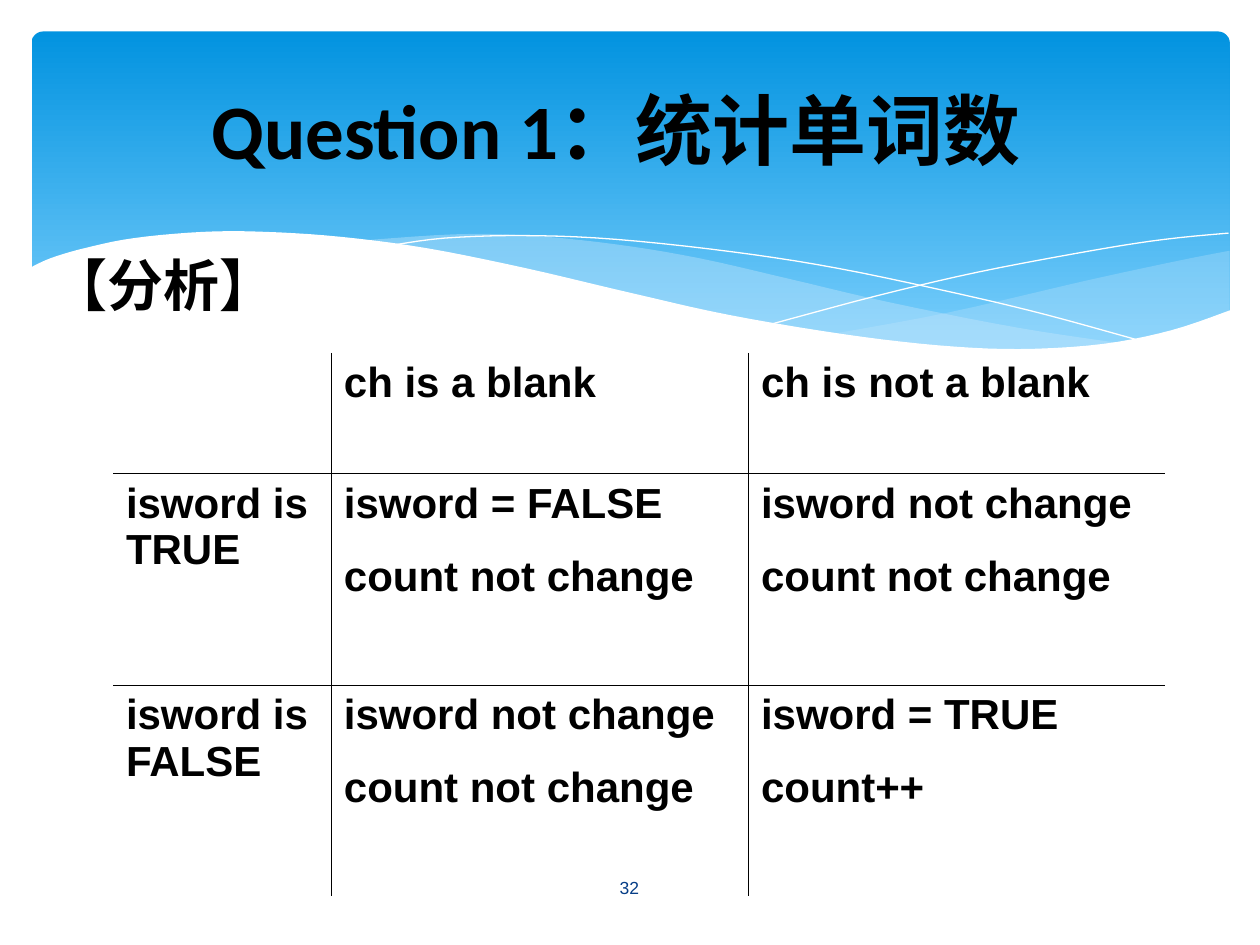
import pptx
import pptx.dml.color
import pptx.enum.shapes
import pptx.enum.text
import pptx.oxml.ns
import pptx.util
from lxml import etree

Inches = pptx.util.Inches
Pt = pptx.util.Pt
ALIGN = pptx.enum.text.PP_ALIGN
ANCHOR = pptx.enum.text.MSO_ANCHOR

BLACK, WHITE, PALE_BLUE = "000000", "FFFFFF", "C6E7FC"

# Knots of the smooth curves in the banner, in inches
RIGHT_WAVE_TOP = [(9.76, 1.99), (9.35, 2.07), (8.61, 2.23), (7.53, 2.48), (6.61, 2.65)]
RIGHT_WAVE_BOTTOM = [(6.61, 2.65), (7.18, 2.72), (7.69, 2.77), (8.14, 2.78),
                     (8.63, 2.75), (9.05, 2.69), (9.42, 2.59), (9.76, 2.47)]
MIDDLE_WAVE_TOP = [(8.93, 2.73), (8.07, 2.6), (7.06, 2.4), (6.29, 2.22), (5.55, 2.05),
                   (4.89, 1.94), (4.2, 1.87), (3.61, 1.86), (2.86, 1.91)]
MIDDLE_WAVE_BOTTOM = [(2.86, 1.91), (3.62, 2.03), (4.49, 2.22), (5.3, 2.4), (6.18, 2.58),
                      (6.95, 2.7), (7.61, 2.77), (8.18, 2.78), (8.57, 2.77), (8.93, 2.73)]
FALLING_LINE = [(3.09, 1.95), (3.53, 1.89), (4.16, 1.87), (4.89, 1.9), (5.82, 2),
                (6.65, 2.13), (7.6, 2.33), (8.31, 2.5), (9.07, 2.71)]
RISING_LINE = [(6.13, 2.57), (6.95, 2.35), (7.76, 2.16), (8.66, 1.99),
               (9.24, 1.9), (9.75, 1.85)]
WHITE_EDGE = [(9.77, 2.46), (9.3, 2.62), (8.75, 2.73), (8.09, 2.77), (7.44, 2.74),
              (6.68, 2.65), (5.79, 2.5), (5.03, 2.33), (4.18, 2.13), (3.39, 1.97),
              (2.71, 1.88), (2.11, 1.84), (1.61, 1.84), (1.06, 1.89), (0.67, 1.97),
              (0.4, 2.05), (0.23, 2.13)]

COLUMN_WIDTHS = [1.73, 3.31, 3.31]
ROW_HEIGHTS = [0.96, 1.68, 1.67]
STATES = [
    ["", "ch is a blank", "ch is not a blank"],
    ["isword is TRUE", "isword = FALSE\ncount not change",
     "isword not change\ncount not change"],
    ["isword is FALSE", "isword not change\ncount not change",
     "isword = TRUE\ncount++"],
]


def color(value):
    return pptx.dml.color.RGBColor.from_string(value)


def add_xml(parent, tag, **attributes):
    return etree.SubElement(parent, pptx.oxml.ns.qn(tag), attributes)


def smooth(knots, steps=5):
    """Points on a Catmull-Rom curve through the knots."""
    padded = [knots[0], *knots, knots[-1]]
    points = [knots[0]]
    for a, b, c, d in zip(padded, padded[1:], padded[2:], padded[3:]):
        for step in range(1, steps + 1):
            t = step / steps
            points.append(tuple(
                (2 * q + (r - p) * t + (2 * p - 5 * q + 4 * r - s) * t ** 2
                 + (3 * q - p - 3 * r + s) * t ** 3) / 2
                for p, q, r, s in zip(a, b, c, d)))
    return points


def add_outline(shapes, points, closed):
    # The builder keeps whole units only, so lengths go in as EMU
    start, *others = [(Inches(x), Inches(y)) for x, y in points]
    builder = shapes.build_freeform(*start)
    builder.add_line_segments(others, close=closed)
    shape = builder.convert_to_shape()
    shape.shadow.inherit = False
    return shape


def add_wave(shapes, points, fill, opacity=100):
    wave = add_outline(shapes, points, True)
    wave.line.fill.background()
    wave.fill.solid()
    wave.fill.fore_color.rgb = color(fill)
    if opacity < 100:
        tint = wave.fill._xPr.find(".//" + pptx.oxml.ns.qn("a:srgbClr"))
        add_xml(tint, "a:alpha", val=str(opacity * 1000))


def add_hairline(shapes, knots):
    hairline = add_outline(shapes, smooth(knots), False)
    hairline.fill.background()
    hairline.line.color.rgb = color(WHITE)
    hairline.line.width = Pt(0)


def add_banner(page):
    panel = page.shapes.add_shape(
        pptx.enum.shapes.MSO_SHAPE.ROUNDED_RECTANGLE,
        Inches(0.25), Inches(0.25), Inches(9.51), Inches(2.7))
    panel.adjustments[0] = 0.034
    panel.shadow.inherit = False
    panel.line.fill.background()
    panel.fill.gradient()
    panel.fill.gradient_angle = 270
    for stop, value, position in zip(panel.fill.gradient_stops,
                                     ["0293E0", "83D3FE"], [0, 1]):
        stop.color.rgb = color(value)
        stop.position = position

    shapes = page.shapes.add_group_shape().shapes
    add_wave(shapes, smooth(RIGHT_WAVE_TOP) + smooth(RIGHT_WAVE_BOTTOM), PALE_BLUE, 29)
    add_wave(shapes, smooth(MIDDLE_WAVE_TOP) + smooth(MIDDLE_WAVE_BOTTOM), PALE_BLUE, 40)
    add_hairline(shapes, FALLING_LINE)
    add_hairline(shapes, RISING_LINE)
    add_wave(shapes, smooth(WHITE_EDGE) + [(0.23, 3.29), (9.77, 3.29)], WHITE)


def format_para(para, size, font, fill, bold, align=ALIGN.LEFT, before=0, after=0):
    para.alignment = align
    para.space_before, para.space_after = Pt(before), Pt(after)
    for span in para.runs:
        span.font.size, span.font.name, span.font.bold = Pt(size), font, bold
        span.font.color.rgb = color(fill)


def add_text(page, text, left, top, width, height, anchor=ANCHOR.MIDDLE,
             hanging=0, **style):
    box = page.shapes.add_textbox(*map(Inches, (left, top, width, height)))
    frame = box.text_frame
    frame.word_wrap = True
    frame.vertical_anchor = anchor
    frame.text = text
    para = frame.paragraphs[0]
    format_para(para, **style)
    if hanging:
        properties = para._p.get_or_add_pPr()
        properties.set("marL", str(Inches(hanging)))
        properties.set("indent", str(-Inches(hanging)))


def set_borders(cell, visible):
    properties = cell._tc.get_or_add_tcPr()
    for side in "LRTB":
        border = add_xml(properties, "a:ln" + side, w=str(Pt(0.45)))
        if side in visible:
            add_xml(add_xml(border, "a:solidFill"), "a:srgbClr", val=BLACK)
        else:
            add_xml(border, "a:noFill")


def add_state_table(page):
    rows, columns = len(ROW_HEIGHTS), len(COLUMN_WIDTHS)
    table = page.shapes.add_table(
        rows, columns, Inches(0.9), Inches(2.8),
        Inches(sum(COLUMN_WIDTHS)), Inches(sum(ROW_HEIGHTS))).table
    table.first_row = table.horz_banding = False
    for column, width in zip(table.columns, COLUMN_WIDTHS):
        column.width = Inches(width)
    for row, height in zip(table.rows, ROW_HEIGHTS):
        row.height = Inches(height)

    for r, texts in enumerate(STATES):
        for c, text in enumerate(texts):
            cell = table.cell(r, c)
            cell.text = text
            for para in cell.text_frame.paragraphs:
                format_para(para, 24, "Arial", BLACK, True, before=15)
            # Only the inner grid lines show
            inner = {"L": c > 0, "R": c < columns - 1, "T": r > 0, "B": r < rows - 1}
            set_borders(cell, [side for side, shown in inner.items() if shown])
            cell.fill.background()


def main():
    deck = pptx.Presentation()
    deck.slide_width, deck.slide_height = Inches(10), Inches(7.5)
    page = deck.slides.add_slide(deck.slide_layouts[6])

    add_banner(page)
    # Title and section heading
    add_text(page, "Question 1：统计单词数", 0.39, 0.55, 9, 0.95, hanging=0.38,
             size=44, font="Calibri", fill=BLACK, bold=True, align=ALIGN.CENTER, before=11)
    add_text(page, "【分析】", 0.31, 1.94, 9.45, 5.39, ANCHOR.TOP, hanging=0.38,
             size=32, font="Calibri", fill=BLACK, bold=True, before=8, after=6)
    add_state_table(page)
    # Page number
    add_text(page, "32", 4.36, 6.84, 1.27, 0.4,
             size=10, font="Arial", fill="073E87", bold=False, align=ALIGN.CENTER)

    deck.save("out.pptx")


if __name__ == "__main__":
    main()
